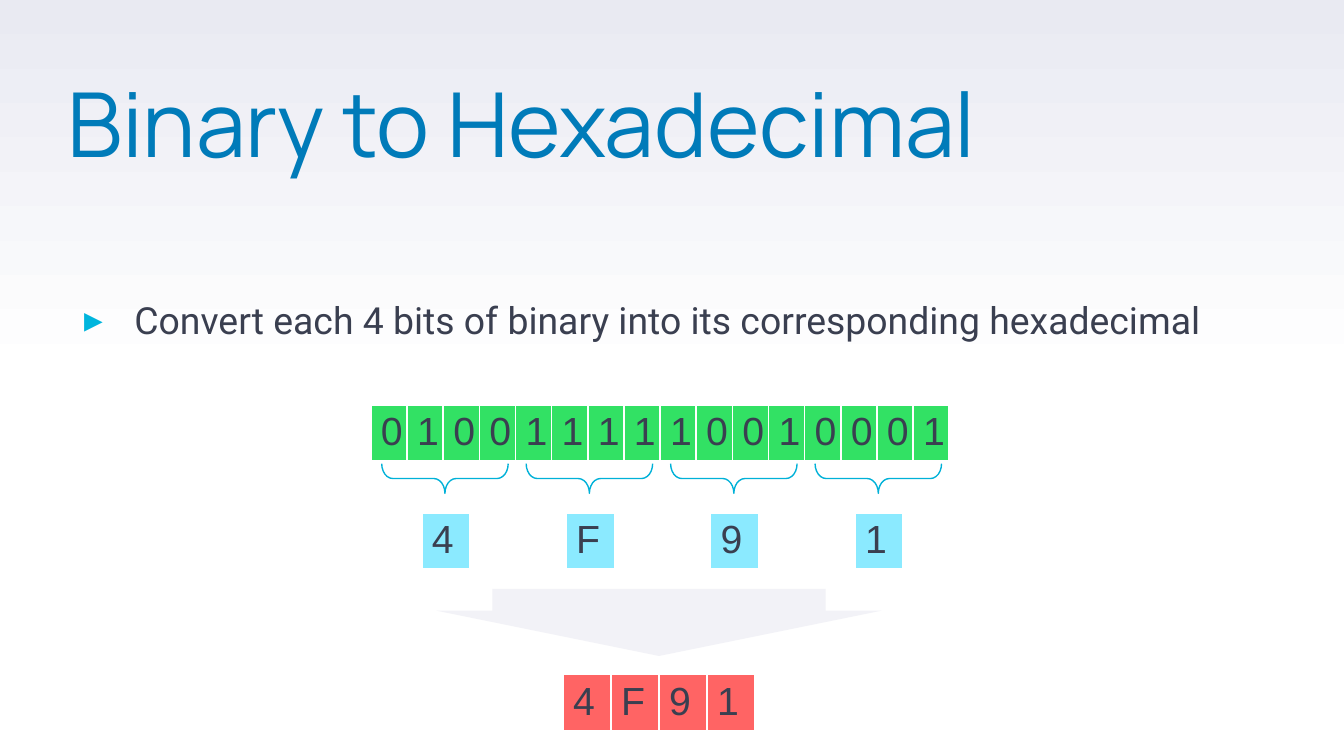
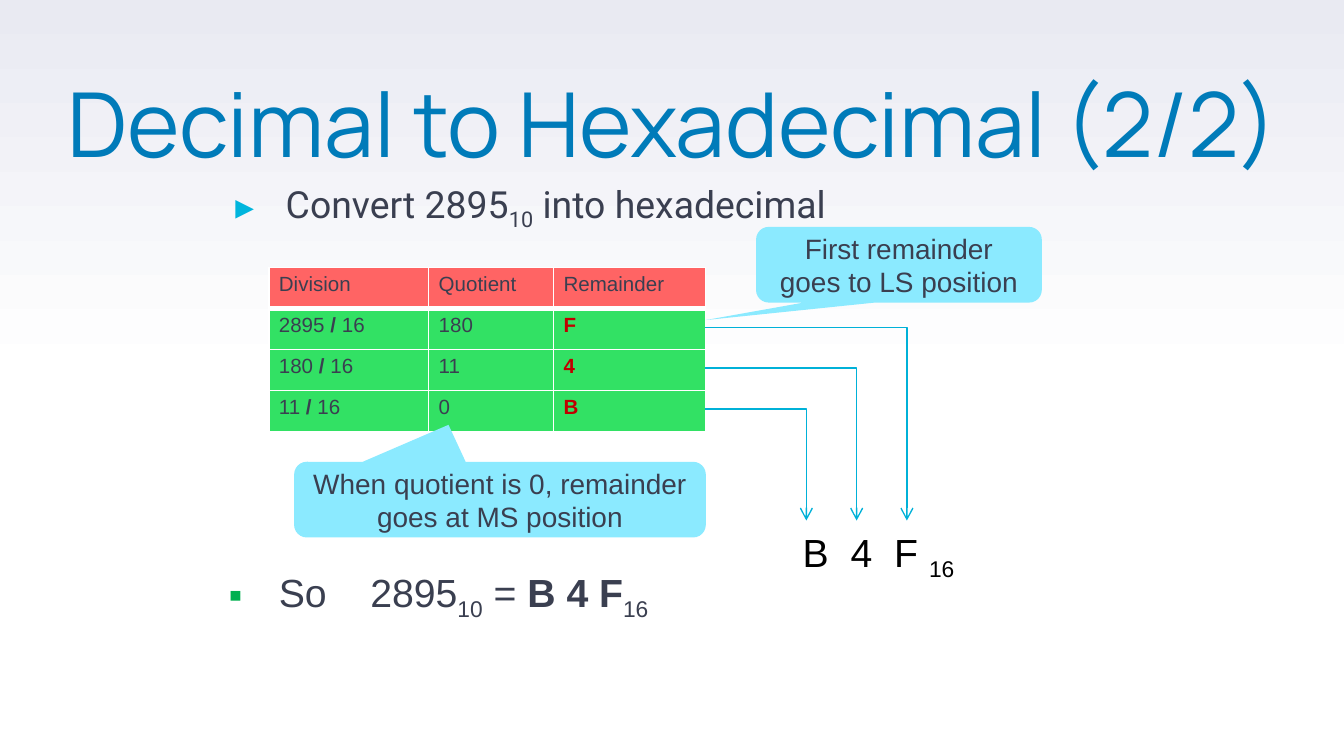
from dataclasses import dataclass

from lxml.etree import SubElement
from pptx import Presentation
from pptx.dml.color import RGBColor
from pptx.enum.shapes import MSO_CONNECTOR, MSO_SHAPE
from pptx.enum.text import PP_ALIGN
from pptx.oxml.ns import qn
from pptx.util import Cm, Pt


@dataclass(frozen=True)
class Theme:
    title: str = "007BB9"
    text: str = "3A3F50"
    black: str = "000000"
    white: str = "FFFFFF"
    haze: str = "E9EAF2"
    pale: str = "F2F2F7"
    red: str = "FF6464"
    green: str = "32E164"
    sky: str = "8BEAFF"
    line: str = "00B1D8"
    mark: str = "00B5DD"
    square: str = "00B050"
    strong: str = "C00000"
    head: str = "Manrope"
    body: str = "Roboto"
    plain: str = "Arial"
    huge: int = 48
    large: int = 21
    lead: int = 20
    note: int = 15
    small: int = 11


LOOK = Theme()
SUB = {"base": -25000}
BOLD = {"bold": True}
STRONG = {"bold": True, "color": LOOK.strong}


def rgb(code):
    return RGBColor.from_string(code)


def write(frame, parts, font=LOOK.plain, size=LOOK.large, color=LOOK.text,
          align=None, space=None, before=None, bullet=None, inset=None):
    """Fill a text frame or cell with one paragraph; parts is a string or
    a list of strings and (string, run format) pairs."""
    if inset is not None:
        frame.margin_left = frame.margin_right = Cm(inset[0])
        frame.margin_top = frame.margin_bottom = Cm(inset[1])
    frame = getattr(frame, "text_frame", frame)
    para = frame.paragraphs[0]
    para.alignment = align
    if space:
        para.line_spacing = space
    if before:
        para.space_before = Pt(before)
    if bullet:
        mark, tint, left = bullet
        prop = para._p.get_or_add_pPr()
        prop.set("marL", str(Cm(left)))
        prop.set("indent", str(-Cm(0.95)))
        paint = SubElement(prop, qn("a:buClr"))
        SubElement(paint, qn("a:srgbClr"), val=tint)
        SubElement(prop, qn("a:buFont"), typeface=LOOK.plain)
        SubElement(prop, qn("a:buChar"), char=mark)
    for part in [parts] if isinstance(parts, str) else parts:
        words, form = (part, {}) if isinstance(part, str) else part
        run = para.add_run()
        run.text = words
        run.font.name = font
        run.font.size = Pt(size)
        run.font.bold = form.get("bold", False)
        run.font.color.rgb = rgb(form.get("color", color))
        prop = run._r.get_or_add_rPr()
        if "base" in form:
            prop.set("baseline", str(form["base"]))
        if "track" in form:
            prop.set("spc", str(form["track"]))


class Deck:
    def __init__(self):
        self.show = Presentation()
        self.show.slide_width, self.show.slide_height = Cm(25.4), Cm(14.29)
        self.slide = None
        self.paint()

    def paint(self):
        """Give the master a fade from haze at the top to white."""
        master = self.show.slide_master
        master.background.fill.gradient()
        grad = master.element.find(".//" + qn("p:bg")).find(".//" + qn("a:gradFill"))
        stops = grad.find(qn("a:gsLst"))
        stops.clear()
        for spot, tint in ((0, LOOK.white), (50, LOOK.white), (100, LOOK.haze)):
            stop = SubElement(stops, qn("a:gs"), pos=str(spot * 1000))
            SubElement(stop, qn("a:srgbClr"), val=tint)
        grad.find(qn("a:lin")).set("ang", str(270 * 60000))

    def start(self, title):
        self.slide = self.show.slides.add_slide(self.show.slide_layouts[6])
        self.text(title, 1.27, 1.68, 23.67, 3, font=LOOK.head, size=LOOK.huge,
                  color=LOOK.title, space=0.8, inset=(0, 0))

    def text(self, parts, x, y, w, h, **form):
        box = self.slide.shapes.add_textbox(Cm(x), Cm(y), Cm(w), Cm(h))
        box.text_frame.word_wrap = True
        write(box.text_frame, parts, **form)

    def point(self, parts, x, y, w, h):
        """Add a lead line with a triangle bullet."""
        self.text(parts, x, y, w, h, font=LOOK.body, size=LOOK.lead, space=1.1,
                  before=6, bullet=("▸", LOOK.mark, 1.27), inset=(0, 0))

    def table(self, rows, x, y, w, h, fills, size=LOOK.large, cols=None):
        """Add a table; fills has one colour for each row."""
        grid = self.slide.shapes.add_table(
            len(rows), len(rows[0]), Cm(x), Cm(y), Cm(w), Cm(h)).table
        grid.first_row = grid.horz_banding = False
        for col, wide in zip(grid.columns, cols or []):
            col.width = Cm(wide)
        for r, row in enumerate(rows):
            for c, parts in enumerate(row):
                cell = grid.cell(r, c)
                write(cell, parts, size=size, inset=(0.19, 0.1))
                self.edge(cell, 3 if r == 0 else 1)
                cell.fill.solid()
                cell.fill.fore_color.rgb = rgb(fills[r])

    def edge(self, cell, low):
        """Draw white cell borders, the lower one low points thick."""
        prop = cell._tc.get_or_add_tcPr()
        for side, wide in (("L", 1), ("R", 1), ("T", 1), ("B", low)):
            line = SubElement(prop, qn("a:ln" + side), w=str(Pt(wide)))
            fill = SubElement(line, qn("a:solidFill"))
            SubElement(fill, qn("a:srgbClr"), val=LOOK.white)

    def shape(self, kind, x, y, w, h, adjust, fill=None, line=None, turn=0):
        form = self.slide.shapes.add_shape(kind, Cm(x), Cm(y), Cm(w), Cm(h))
        form.shadow.inherit = False
        form.rotation = turn
        for i, value in enumerate(adjust):
            form.adjustments[i] = value
        if fill:
            form.fill.solid()
            form.fill.fore_color.rgb = rgb(fill)
        else:
            form.fill.background()
        if line:
            form.line.color.rgb = rgb(line)
            form.line.width = Pt(0.75)
        else:
            form.line.fill.background()
        return form

    def call(self, words, x, y, w, tip):
        """Add a speech bubble; tip is its point, relative to its size."""
        form = self.shape(MSO_SHAPE.ROUNDED_RECTANGULAR_CALLOUT, x, y, w, 1.43,
                          (*tip, 0.167), fill=LOOK.sky)
        write(form.text_frame, words, size=LOOK.note, align=PP_ALIGN.CENTER)

    def elbow(self, x, y, to_x, to_y):
        """Add an arrow that runs across, then down."""
        link = self.slide.shapes.add_connector(
            MSO_CONNECTOR.ELBOW, Cm(x), Cm(y), Cm(to_x), Cm(to_y))
        link.line.color.rgb = rgb(LOOK.line)
        link.line.width = Pt(0.75)
        prop = link._element.spPr
        SubElement(prop.find(".//" + qn("a:avLst")), qn("a:gd"),
                   name="adj1", fmla="val 100000")
        SubElement(prop.find(qn("a:ln")), qn("a:tailEnd"), type="arrow")
        SubElement(prop, qn("a:effectLst"))


def binary(deck):
    deck.start("Binary to Hexadecimal")
    deck.point("Convert each 4 bits of binary into its corresponding hexadecimal",
               1.27, 5.54, 23.67, 7.44)
    bits, digits = "0100111110010001", "4F91"
    deck.table([digits], 10.64, 12.75, 3.63, 1.06, [LOOK.red])
    deck.table([bits], 7.01, 7.65, 10.94, 1.06, [LOOK.green])
    for i, digit in enumerate(digits):
        shift = i * 2.73
        deck.shape(MSO_SHAPE.LEFT_BRACE, 8.13 + shift, 7.85, 0.56, 2.39,
                   (0.374, 0.5), line=LOOK.line, turn=270)
        deck.table([digit], 7.97 + shift, 9.7, 0.91, 1.06, [LOOK.sky])
    deck.shape(MSO_SHAPE.DOWN_ARROW, 8.25, 11.13, 8.41, 1.27,
               (0.749, 0.674), fill=LOOK.pale)


def decimal(deck):
    deck.start("Decimal to Hexadecimal (2/2)")
    deck.point(["Convert 2895", ("10", SUB), " into hexadecimal"],
               4.13, 3.33, 17.15, 1.42)
    steps = [("2895", "180", "F"), ("180", "11", "4"), ("11", "0", "B")]
    rows = [("Division", "Quotient", "Remainder")]
    rows += [([top + " ", ("/", BOLD), " 16"], quot, [(rest, STRONG)])
             for top, quot, rest in steps]
    deck.table(rows, 5.08, 5.06, 8.25, 3.1, [LOOK.red] + [LOOK.green] * 3,
               size=LOOK.small, cols=(3.02, 2.36, 2.87))
    gap = (" ", {"track": 584})
    deck.text(["B", gap, "4", gap, "F ", ("16", SUB)],
              14.92, 9.87, 3.48, 1.14, color=LOOK.black)
    for i in range(len(steps)):
        deck.elbow(13.33, 6.19 + i * 0.77, 17.14 - i * 0.95, 9.84)
    deck.text(["So", (" ", {"track": 1750}), "2895", ("10", SUB), " = ",
               ("B 4 F", BOLD), ("16", SUB)], 4.13, 10.64, 17.15, 1.42,
              before=4, bullet=("▪", LOOK.square, 0.95), inset=(0.19, 0.1))
    deck.call("First remainder goes to LS position", 14.29, 4.29, 5.4,
              (-0.677, 0.732))
    deck.call("When quotient is 0, remainder goes at MS position", 5.56, 8.73, 7.78,
              (-0.125, -0.989))


def main():
    deck = Deck()
    binary(deck)
    decimal(deck)
    deck.show.save("out.pptx")


if __name__ == "__main__":
    main()
